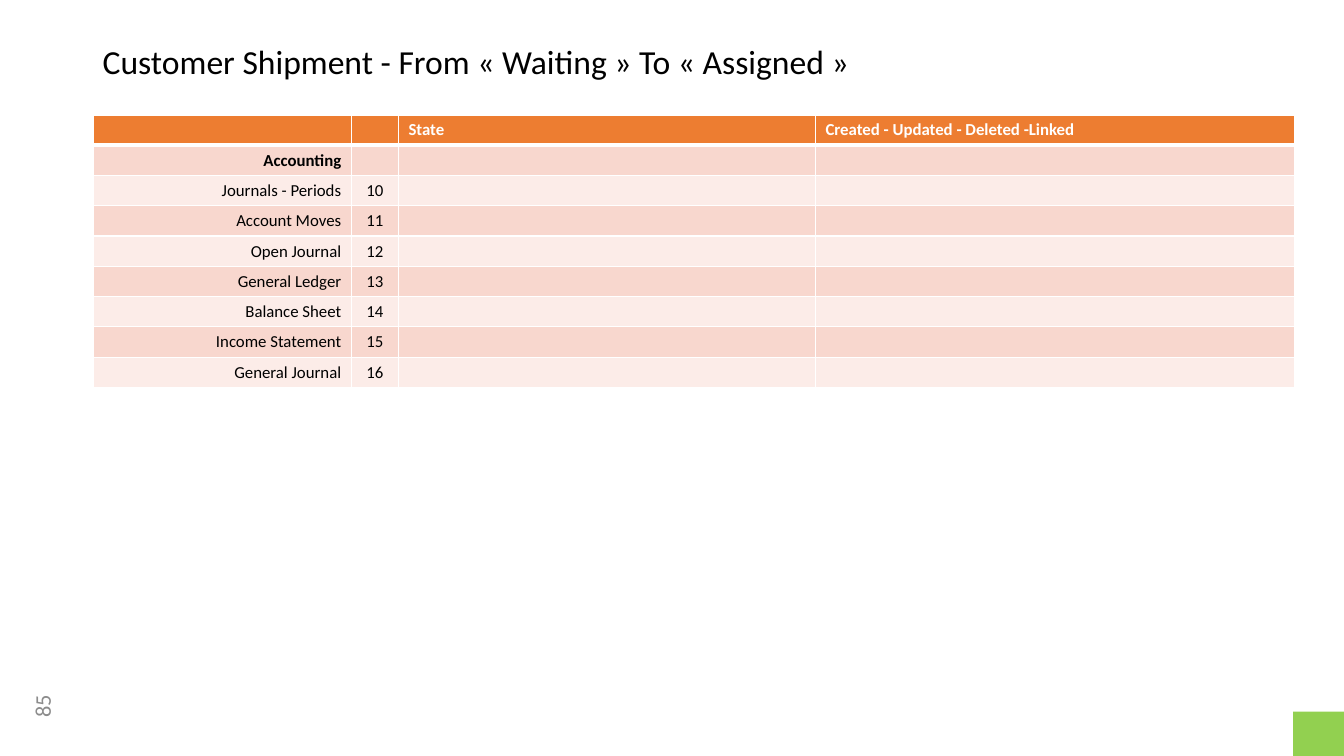
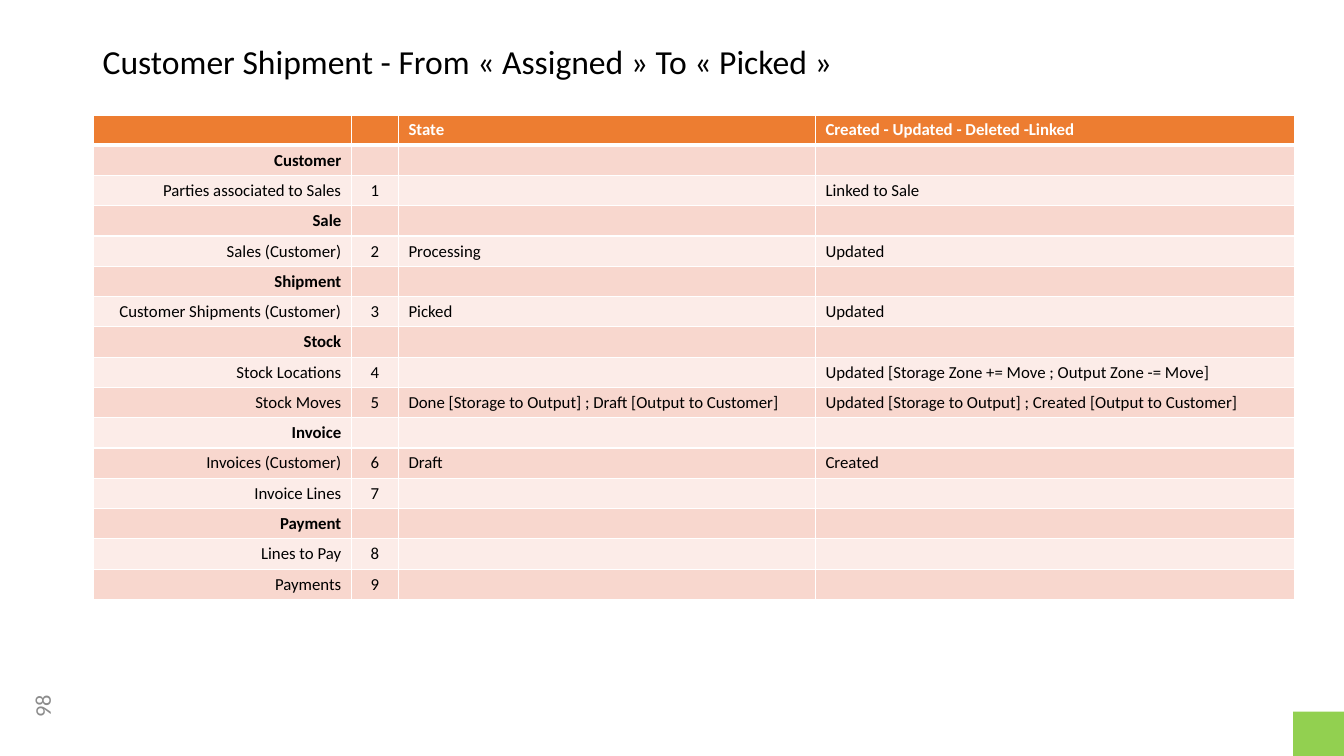
from lxml.etree import SubElement
from pptx import Presentation
from pptx.dml.color import RGBColor
from pptx.enum.shapes import MSO_SHAPE as Shape
from pptx.enum.text import MSO_ANCHOR as Anchor, PP_ALIGN as Align
from pptx.oxml.ns import qn
from pptx.util import Inches, Pt

WIDTH, HEIGHT = Inches(13.33), Inches(7.5)
FONT = "Calibri"
BLACK, WHITE, GREY = "000000", "FFFFFF", "8C8C8C"
GREEN, ORANGE = "92D050", "ED7D31"
BANDS = ("F8D7CE", "FCECE8")

TABLE_LEFT, TABLE_TOP, ROW_HEIGHT = 6.95, 15.2, 4
COLUMNS = (19.2, 3.5, 31.03, 35.65)
ALIGNS = (Align.RIGHT, Align.CENTER, Align.LEFT, Align.LEFT)
HEADER = ("", "", "State", "Created - Updated - Deleted -Linked")

WAITING_ROWS = [
    ("Accounting",),
    ("Journals - Periods", "10"),
    ("Account Moves", "11"),
    ("Open Journal", "12"),
    ("General Ledger", "13"),
    ("Balance Sheet", "14"),
    ("Income Statement", "15"),
    ("General Journal", "16"),
]
ASSIGNED_ROWS = [
    ("Customer",),
    ("Parties associated to Sales", "1", "", "Linked to Sale"),
    ("Sale",),
    ("Sales (Customer)", "2", "Processing", "Updated"),
    ("Shipment",),
    ("Customer Shipments (Customer)", "3", "Picked", "Updated"),
    ("Stock",),
    ("Stock Locations", "4", "", "Updated [Storage Zone += Move ; Output Zone -= Move]"),
    ("Stock Moves", "5", "Done [Storage to Output] ; Draft [Output to Customer]",
     "Updated [Storage to Output] ; Created [Output to Customer]"),
    ("Invoice",),
    ("Invoices (Customer)", "6", "Draft", "Created"),
    ("Invoice Lines", "7"),
    ("Payment",),
    ("Lines to Pay", "8"),
    ("Payments", "9"),
]
SLIDES = [
    ("Customer Shipment - From « Waiting » To « Assigned »", "85", WAITING_ROWS),
    ("Customer Shipment - From « Assigned » To « Picked »", "98", ASSIGNED_ROWS),
]


def rgb(color):
    """Turn a hex string into a colour."""
    return RGBColor.from_string(color)


def across(share):
    """Length for a percentage of the slide width."""
    return round(WIDTH * share / 100)


def down(share):
    """Length for a percentage of the slide height."""
    return round(HEIGHT * share / 100)


def box(x, y, w, h):
    """Position and size from percentages of the slide."""
    return across(x), down(y), across(w), down(h)


def format_text(p, size, color, align=Align.LEFT, bold=False):
    """Style a paragraph and its runs, keeping empty ones the same size."""
    p.alignment = align
    for r in p.runs:
        r.font.name, r.font.size, r.font.bold = FONT, Pt(size), bold
        r.font.color.rgb = rgb(color)
    if not p.runs:
        SubElement(p._p, qn("a:endParaRPr"), sz=str(size * 100))


def add_text(s, place, text, size, color, align=Align.LEFT, anchor=Anchor.TOP):
    """Add a wrapped one-paragraph text box."""
    sp = s.shapes.add_textbox(*place)
    tf = sp.text_frame
    tf.word_wrap = True
    tf.vertical_anchor = anchor
    tf.text = text
    format_text(tf.paragraphs[0], size, color, align)
    return sp


def add_frame(s, title, number):
    """Add the title, turned page number and corner block."""
    sp = add_text(s, box(6.9, 5.33, 86.27, 6.8), title, 24, BLACK)
    sp.text_frame.paragraphs[0].line_spacing = 0.9
    sp = add_text(s, box(0.3, 90.8, 5.63, 5.33), number, 16, GREY, Align.CENTER, Anchor.MIDDLE)
    sp.rotation = 270
    sp = s.shapes.add_shape(Shape.RECTANGLE, *box(96.21, 94.13, 3.79, 5.87))
    sp.shadow.inherit = False
    sp.fill.solid()
    sp.fill.fore_color.rgb = rgb(GREEN)
    sp.line.fill.background()


def set_borders(cell, row):
    """Draw white cell borders, thick under the header."""
    tc_pr = cell._tc.get_or_add_tcPr()
    thick = {(0, "B"), (1, "T")}
    for side in "LRTB":
        width = Pt(3 if (row, side) in thick else 1)
        ln = SubElement(tc_pr, qn(f"a:ln{side}"), w=str(width))
        fill = SubElement(ln, qn("a:solidFill"))
        SubElement(fill, qn("a:srgbClr"), val=WHITE)


def add_grid(s, rows):
    """Add the banded state table with its header."""
    lines = [HEADER, *rows]
    place = box(TABLE_LEFT, TABLE_TOP, sum(COLUMNS), ROW_HEIGHT * len(lines))
    table = s.shapes.add_table(len(lines), len(COLUMNS), *place).table
    for column, share in zip(table.columns, COLUMNS):
        column.width = across(share)
    for i, line in enumerate(lines):
        table.rows[i].height = down(ROW_HEIGHT)
        header = i == 0
        for j, align in enumerate(ALIGNS):
            cell = table.cell(i, j)
            cell.text = line[j] if j < len(line) else ""
            format_text(cell.text_frame.paragraphs[0], 12, WHITE if header else BLACK,
                        Align.LEFT if header else align, header or len(line) == 1)
            set_borders(cell, i)
            cell.fill.solid()
            cell.fill.fore_color.rgb = rgb(ORANGE if header else BANDS[(i - 1) % 2])


def main():
    """Build and save the deck."""
    prs = Presentation()
    prs.slide_width, prs.slide_height = WIDTH, HEIGHT
    for title, number, rows in SLIDES:
        s = prs.slides.add_slide(prs.slide_layouts[6])
        add_frame(s, title, number)
        add_grid(s, rows)
    prs.save("out.pptx")


if __name__ == "__main__":
    main()
